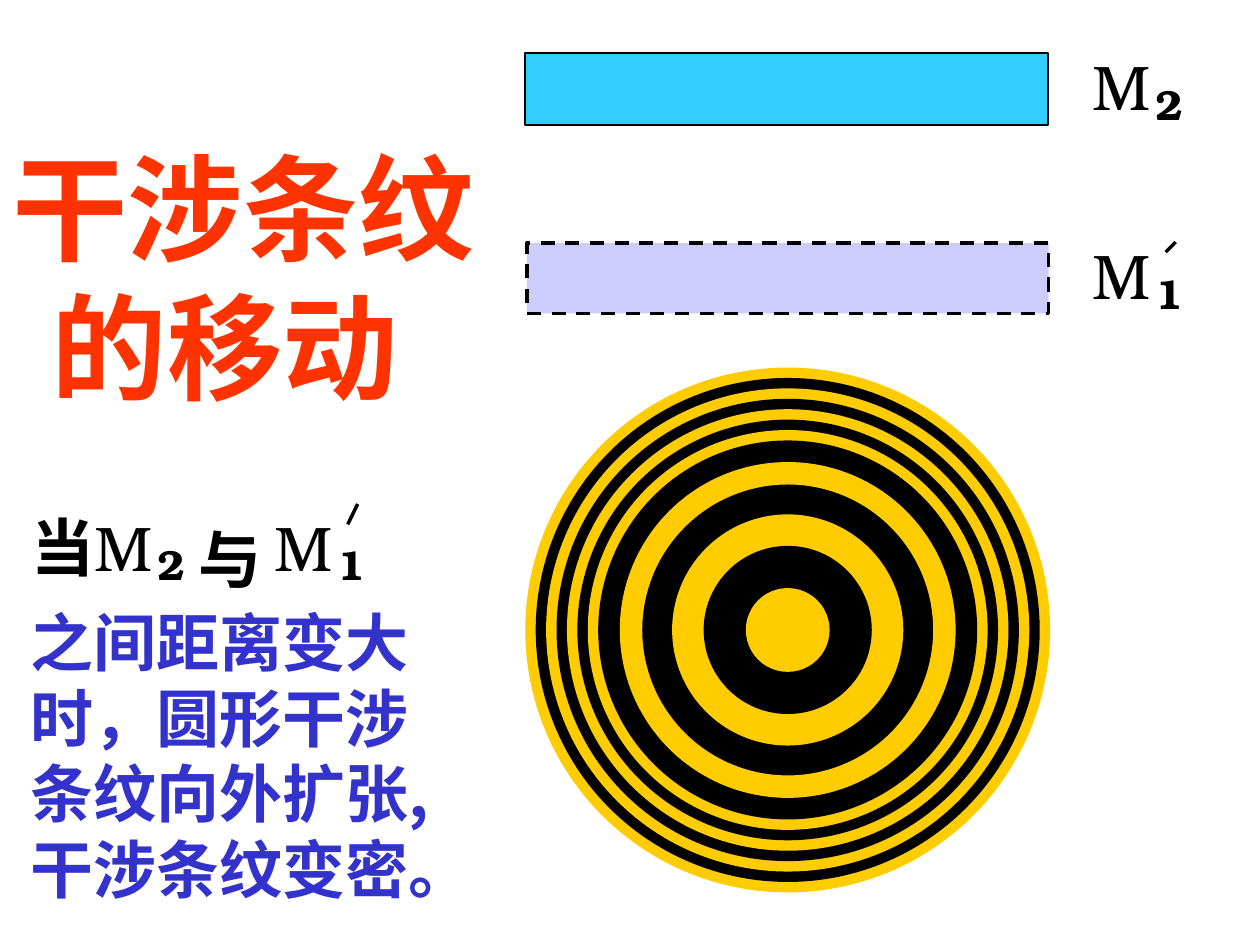
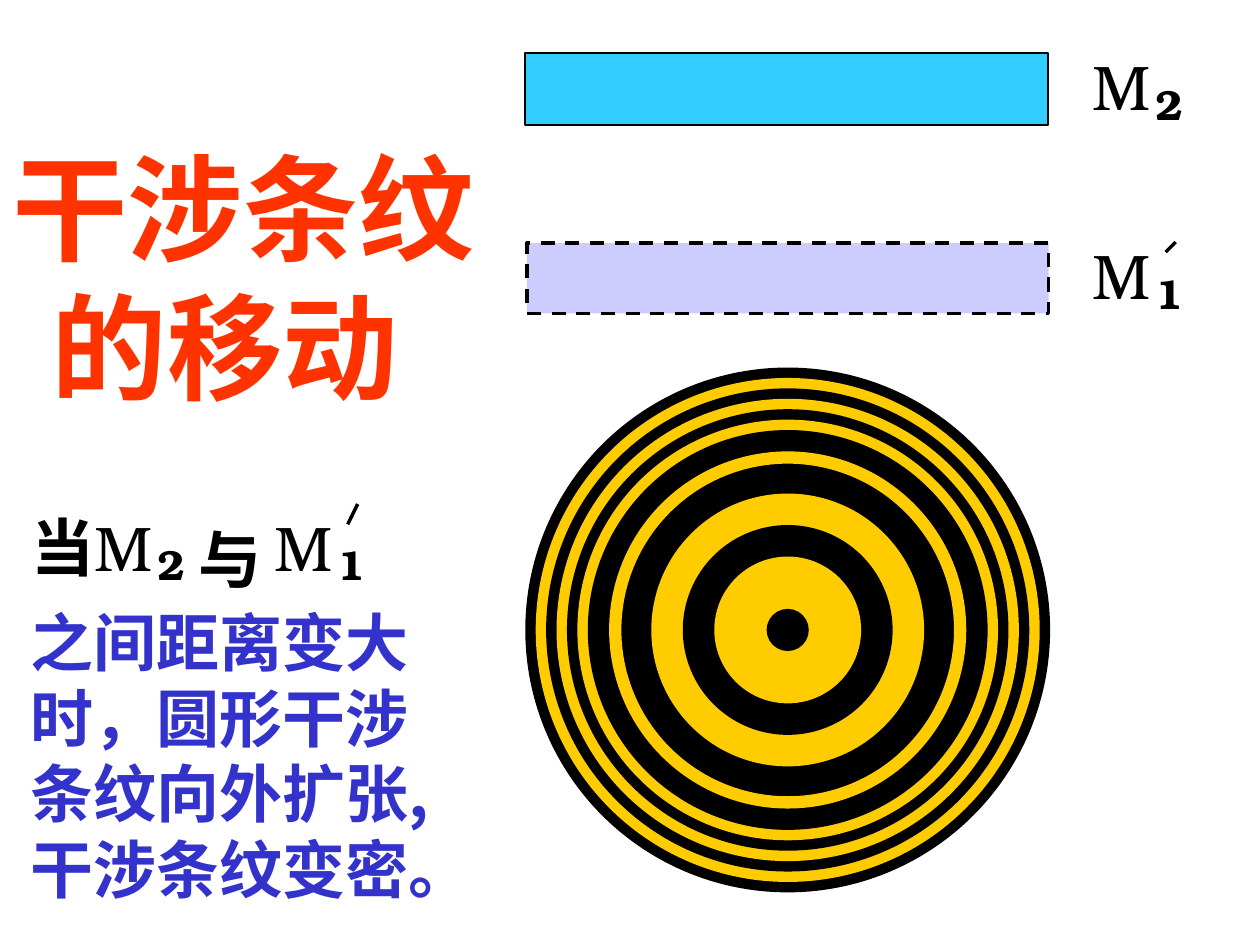
from pptx import Presentation
from pptx import util as u
from pptx.dml.color import RGBColor
from pptx.enum import dml, shapes, text
from pptx.oxml.ns import qn
from lxml import etree

SERIF, SANS = "TeX Gyre Bonum", "Noto Sans CJK SC"
COLORS = {"ink": "000000", "light": "FFCC00", "mirror": "33CCFF",
          "image": "CCCCFF", "title": "FF3300", "body": "3333CC"}

TITLE = ["干涉条纹", " 的移动"]
BODY = ["之间距离变大", "时，圆形干涉", "条纹向外扩张,", "干涉条纹变密。"]

MIRRORS = [
    (10.59, 1.07, 10.54, 1.45, "mirror", 1, None),
    (10.62, 4.9, 10.52, 1.42, "image", 2, dml.MSO_LINE.DASH),
]
SYMBOLS = [
    (21.77, 0.84, "2"), (21.77, 4.65, "1"),
    (1.65, 10.13, "2"), (5.28, 10.13, "1"),
]
WORDS = [(0.38, 10.13, "当"), (3.76, 10.36, "与")]
PRIMES = [(23.7, 4.88, 23.5, 5.08), (7.21, 10.16, 7.01, 10.57)]

CENTER = (15.88, 12.7)
OUTER, STEP = 10.58, 0.42
SLIDES = [
    {"colors": ("light", "ink"), "even": 8, "edged": 5.9,
     "inner": [6.77, 5.9, 4.66, 3.39, 1.69]},
    {"colors": ("ink", "light"), "even": 7, "edged": 6.74,
     "inner": [7.2, 6.74, 5.5, 4.23, 2.96, 0.85]},
]


def rgb(name):
    return RGBColor.from_string(COLORS[name])


def add_shape(s, kind, x, y, w, h, fill, line=None, width=1, dash=None):
    sp = s.shapes.add_shape(kind, u.Cm(x), u.Cm(y), u.Cm(w), u.Cm(h))
    sp.shadow.inherit = False
    sp.fill.solid()
    sp.fill.fore_color.rgb = rgb(fill)
    if line:
        sp.line.color.rgb = rgb(line)
        sp.line.width = u.Pt(width)
        sp.line.dash_style = dash
    else:
        sp.line.fill.background()


def add_text(s, x, y, w, h, lines, size, color="ink", font=SERIF, bold=False):
    tf = s.shapes.add_textbox(u.Cm(x), u.Cm(y), u.Cm(w), u.Cm(h)).text_frame
    tf.word_wrap = False
    tf.auto_size = text.MSO_AUTO_SIZE.SHAPE_TO_FIT_TEXT
    tf.text = "\n".join(lines)
    for p in tf.paragraphs:
        p.font.name = font
        p.font.size = u.Pt(size)
        p.font.bold = bold
        p.font.color.rgb = rgb(color)
        latin = p.font._element.find(qn("a:latin"))
        ea = etree.Element(qn("a:ea"), typeface=SERIF)
        latin.addnext(ea)


def add_prime(s, x1, y1, x2, y2):
    c = s.shapes.add_connector(shapes.MSO_CONNECTOR.STRAIGHT,
                               u.Cm(x1), u.Cm(y1), u.Cm(x2), u.Cm(y2))
    c.line.color.rgb = rgb("ink")
    c.line.width = u.Pt(2)
    etree.SubElement(c._element.spPr, qn("a:effectLst"))


def add_fringes(s, fringes):
    even = [OUTER - STEP * i for i in range(fringes["even"])]
    for i, d in enumerate(even + fringes["inner"]):
        edge = "light" if d == fringes["edged"] else None
        add_shape(s, shapes.MSO_SHAPE.OVAL, CENTER[0] - d / 2, CENTER[1] - d / 2,
                  d, d, fringes["colors"][i % 2], edge)


def add_setup(s):
    for x, y, w, h, fill, width, dash in MIRRORS:
        add_shape(s, shapes.MSO_SHAPE.RECTANGLE, x, y, w, h, fill, "ink", width, dash)
    for x, y, index in SYMBOLS:
        add_text(s, x, y, 1.68, 1.78, ["M"], 36)
        add_text(s, x + 1.27, y + 0.61, 1.07, 1.27, [index], 24, bold=True)
    for x, y, word in WORDS:
        add_text(s, x, y, 1.78, 1.78, [word], 36, bold=True)
    for prime in PRIMES:
        add_prime(s, *prime)
    add_text(s, 0.36, 12.04, 9.4, 6.35, BODY, 36, "body", SANS, True)
    add_text(s, 0, 2.64, 9.83, 5.84, TITLE, 66, "title", SANS, True)


def main():
    prs = Presentation()
    prs.slide_width, prs.slide_height = u.Cm(25.4), u.Cm(19.05)
    for fringes in SLIDES:
        s = prs.slides.add_slide(prs.slide_layouts[6])
        add_fringes(s, fringes)
        add_setup(s)
    prs.save("out.pptx")


if __name__ == "__main__":
    main()
